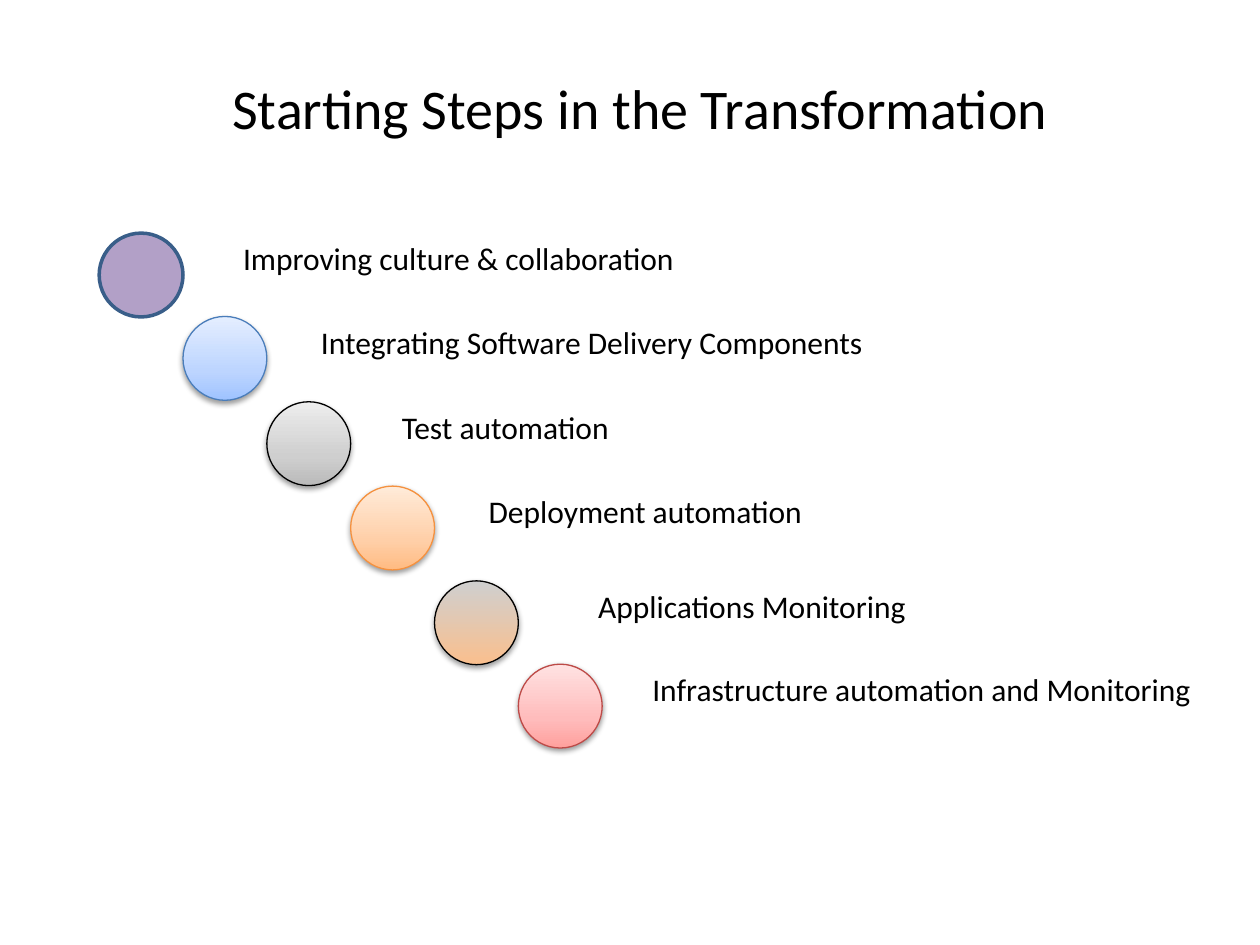
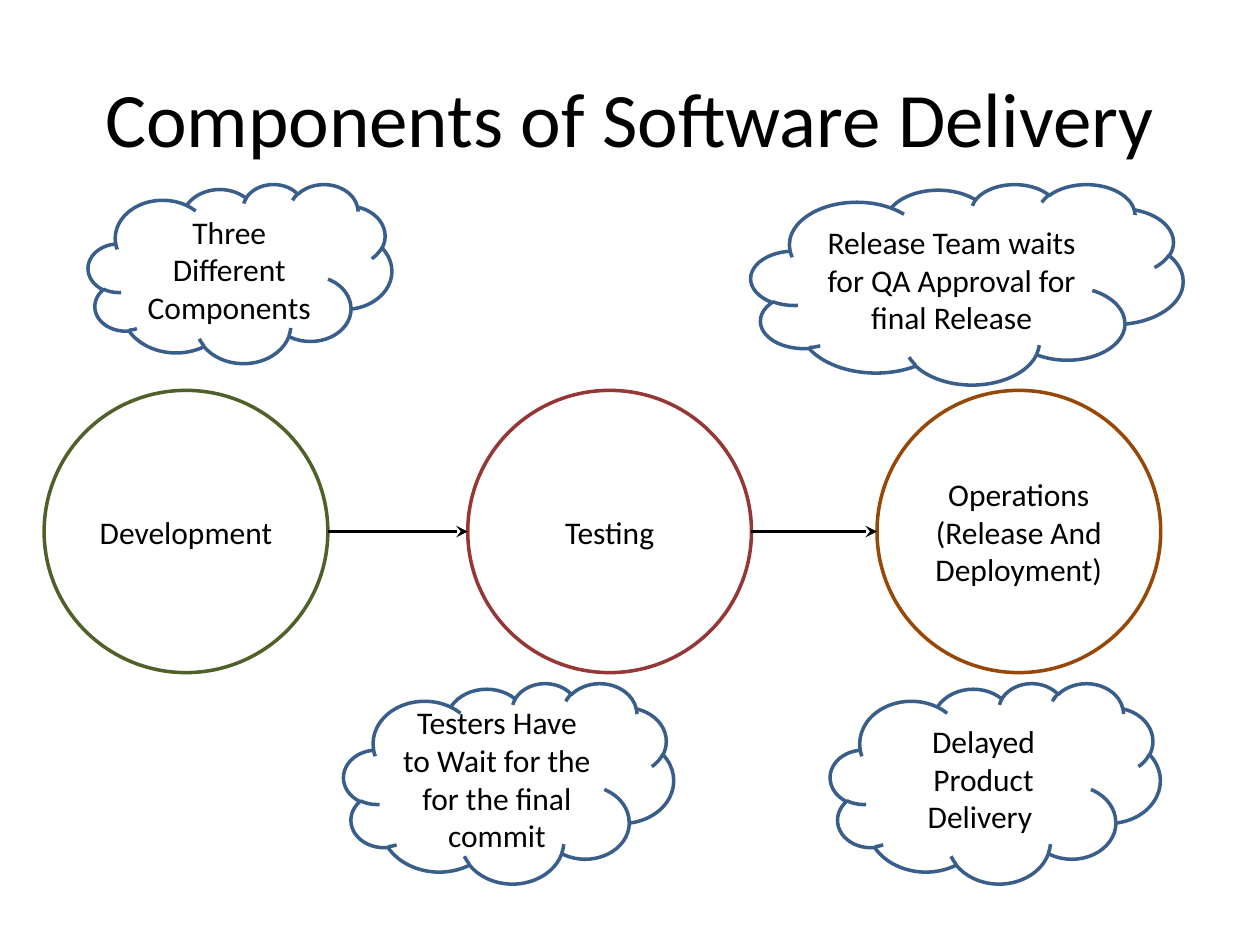
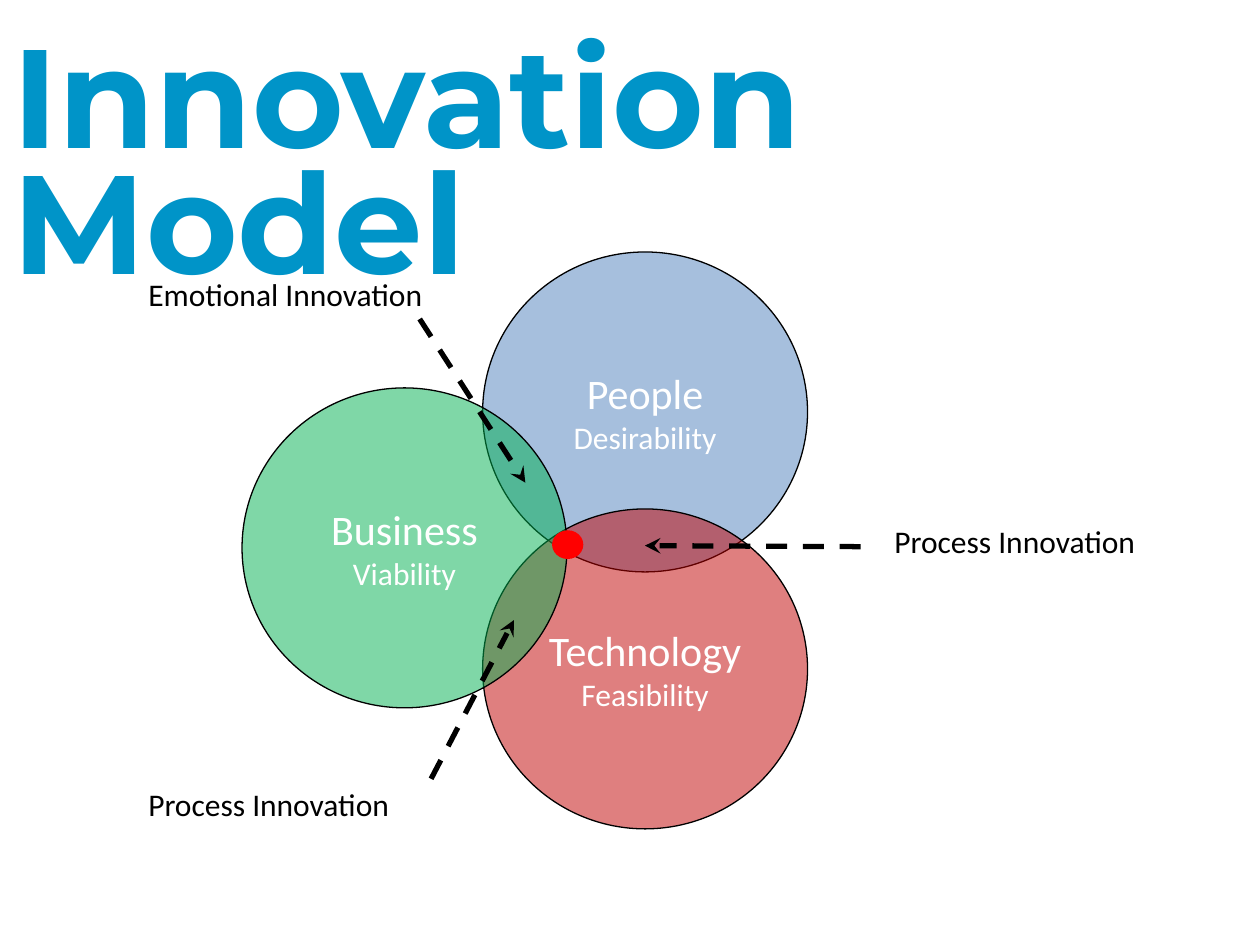
from lxml.etree import SubElement
from pptx import Presentation
from pptx.dml.color import RGBColor
from pptx.enum.dml import MSO_LINE
from pptx.enum.shapes import MSO_CONNECTOR, MSO_SHAPE
from pptx.enum.text import MSO_ANCHOR, MSO_AUTO_SIZE, PP_ALIGN
from pptx.oxml.ns import qn
from pptx.util import Cm, Pt

BLACK, WHITE, BLUE = "000000", "FFFFFF", "395E89"
LABEL_SIZE = 18
LABEL_HEIGHT = 1.02


def write(shape, lines, color=BLACK, font="Calibri", align=PP_ALIGN.CENTER,
          anchor=MSO_ANCHOR.MIDDLE):
    """Fill a shape with paragraphs given as (text, size) pairs."""
    frame = shape.text_frame
    frame.word_wrap = True
    frame.auto_size = MSO_AUTO_SIZE.NONE
    frame.vertical_anchor = anchor
    for index, (text, size) in enumerate(lines):
        para = frame.add_paragraph() if index else frame.paragraphs[0]
        para.text = text
        para.alignment = align
        para.font.name = font
        para.font.size = Pt(size)
        para.font.color.rgb = RGBColor.from_string(color)


def draw(page, kind, place, fill, line=None, width=2):
    """Add a flat preset shape; place is left, top, width, height in cm."""
    shape = page.shapes.add_shape(kind, *map(Cm, place))
    shape.shadow.inherit = False
    shape.fill.solid()
    shape.fill.fore_color.rgb = RGBColor.from_string(fill)
    if line:
        shape.line.color.rgb = RGBColor.from_string(line)
        shape.line.width = Pt(width)
    else:
        shape.line.fill.background()
    return shape


deck = Presentation()
deck.slide_width, deck.slide_height = Cm(25.4), Cm(19.05)

pages = []
for place in [(0.56, 1.35, 24.69, 1.63), (1.27, 0.76, 22.86, 3.18), (0, 0.2, 22.45, 5.77)]:
    page = deck.slides.add_slide(deck.slide_layouts[5])
    title = page.shapes.title
    title.left, title.top, title.width, title.height = map(Cm, place)
    pages.append(page)
steps_page, components_page, innovation_page = pages

labels = []  # page, text, left, top, width
arrows = []  # connector, line width, dash style

# Starting steps: a staircase of circles with a label beside each
write(steps_page.shapes.title, [("Starting Steps in the Transformation", 32)],
      anchor=MSO_ANCHOR.TOP)
DIAMETER = 1.69
steps = [
    # text, top, label left, label width, line colour, gradient stops
    ("Improving culture & collaboration", 4.7, 4.65, 9.2, BLUE, []),
    ("Integrating Software Delivery Components", 6.38, 6.22, 12.75, "4A7DBA",
     [(0, "9FC3FF"), (35, "BDD5FF"), (100, "E4EEFF")]),
    ("Test automation", 8.1, 7.85, 12.75, BLACK,
     [(0, "BABABA"), (35, "CFCFCF"), (100, "EDEDED")]),
    ("Deployment automation", 9.8, 9.6, 6.83, "F5913F",
     [(0, "FFBB82"), (35, "FFCFA8"), (100, "FFEBD9")]),
    ("Applications Monitoring", 11.71, 11.81, 6.86, BLACK,
     [(0, "FABF8E"), (100, "CFCFCF")]),
    ("Infrastructure automation and Monitoring", 13.39, 12.9, 11.51, "BD4B48",
     [(0, "FFA09D"), (35, "FFBCBC"), (100, "FFE2E2")]),
]
for index, (text, top, label_left, label_width, line, stops) in enumerate(steps):
    circle = draw(steps_page, MSO_SHAPE.OVAL, (2 + index * DIAMETER, top, DIAMETER, DIAMETER),
                  "B2A0C7", line, 0.75 if stops else 2)
    labels.append((steps_page, text, label_left, top, label_width))
    if stops:
        circle.fill.gradient()
        circle.fill.gradient_angle = 90
        properties = circle._element.spPr
        stop_list = properties.find(qn("a:gradFill")).find(qn("a:gsLst"))
        for old_stop in list(stop_list):
            stop_list.remove(old_stop)
        for position, color in stops:
            stop = SubElement(stop_list, qn("a:gs"), pos=str(position * 1000))
            SubElement(stop, qn("a:srgbClr"), val=color)
        shadow = SubElement(properties.find(qn("a:effectLst")), qn("a:outerShdw"),
                            blurRad="40000", dist="20000", dir="5400000", rotWithShape="0")
        shadow_color = SubElement(shadow, qn("a:srgbClr"), val=BLACK)
        SubElement(shadow_color, qn("a:alpha"), val="38000")

# Components: three circles in a row, joined by arrows, with clouds around them
write(components_page.shapes.title, [("Components of Software Delivery", 44)])
STAGE_TOP, STAGE_WIDTH, STAGE_HEIGHT = 7.87, 5.72, 5.69
stages = [
    (0.89, "4F6128", ["Development"]),
    (9.43, "953734", ["Testing"]),
    (17.68, "974806", ["Operations", "(Release And Deployment)"]),
]
for left, line, texts in stages:
    circle = draw(components_page, MSO_SHAPE.OVAL,
                  (left, STAGE_TOP, STAGE_WIDTH, STAGE_HEIGHT), WHITE, line)
    write(circle, [(text, LABEL_SIZE) for text in texts])
middle = Cm(STAGE_TOP + STAGE_HEIGHT / 2)
for stage, next_stage in zip(stages, stages[1:]):
    arrow = components_page.shapes.add_connector(
        MSO_CONNECTOR.STRAIGHT, Cm(stage[0] + STAGE_WIDTH), middle, Cm(next_stage[0]), middle)
    arrows.append((arrow, 2.25, MSO_LINE.SOLID))
clouds = [
    ("Three Different Components", (1.78, 3.71, 6.12, 3.61)),
    ("Testers Have to Wait for the for the final commit", (6.93, 13.77, 6.65, 4.04)),
    ("Release Team waits for QA Approval for final Release", (15.14, 3.71, 8.71, 4.04)),
    ("Delayed Product Delivery ", (16.74, 13.77, 6.65, 4.04)),
]
for text, place in clouds:
    cloud = draw(components_page, MSO_SHAPE.CLOUD, place, WHITE, BLUE)
    write(cloud, [(text, LABEL_SIZE)])

# Innovation model: three overlapping translucent circles
title = innovation_page.shapes.title
write(title, [("Innovation Model", 80)], "0094C8", "Montserrat", PP_ALIGN.LEFT, MSO_ANCHOR.TOP)
title.text_frame.margin_top, title.text_frame.margin_bottom = Cm(0.76), Cm(0.51)
title.text_frame.paragraphs[0].line_spacing = 0.75
title.text_frame.paragraphs[0].font.bold = True
factors = [
    ("People", "Desirability", 9.73, 5.08, "4F81BD"),
    ("Technology", "Feasibility", 9.73, 10.26, "C00000"),
    ("Business", "Viability", 4.88, 7.82, "00B050"),
]
for name, quality, left, top, color in factors:
    circle = draw(innovation_page, MSO_SHAPE.OVAL, (left, top, 6.55, 6.45), color, BLACK, 0.75)
    fill_color = circle._element.spPr.find(qn("a:solidFill")).find(qn("a:srgbClr"))
    SubElement(fill_color, qn("a:alpha"), val="50000")
    write(circle, [(name, 24), (quality, LABEL_SIZE)], WHITE)
innovations = [
    # text, label left and top, arrow start and end
    ("Process Innovation", (17.78, 10.39), (17.35, 11.02, 13, 11)),
    ("Emotional Innovation", (2.74, 5.41), (8.46, 6.43, 10.59, 9.73)),
    ("Process Innovation", (2.74, 15.7), (8.69, 15.7, 10.36, 12.5)),
]
for text, corner, ends in innovations:
    labels.append((innovation_page, text, *corner, 6.55))
    arrow = innovation_page.shapes.add_connector(MSO_CONNECTOR.STRAIGHT, *map(Cm, ends))
    arrows.append((arrow, 3, MSO_LINE.DASH))
draw(innovation_page, MSO_SHAPE.OVAL, (11.13, 10.69, 0.63, 0.58), "FF0000")

# Labels and arrows of all pages
for page, text, left, top, width in labels:
    box = page.shapes.add_textbox(Cm(left), Cm(top), Cm(width), Cm(LABEL_HEIGHT))
    write(box, [(text, LABEL_SIZE)], align=PP_ALIGN.LEFT, anchor=MSO_ANCHOR.TOP)
for arrow, width, dash in arrows:
    arrow.line.color.rgb = RGBColor.from_string(BLACK)
    arrow.line.width = Pt(width)
    arrow.line.dash_style = dash
    properties = arrow._element.spPr
    SubElement(properties.find(qn("a:ln")), qn("a:tailEnd"), type="stealth")
    SubElement(properties, qn("a:effectLst"))

deck.save("out.pptx")
